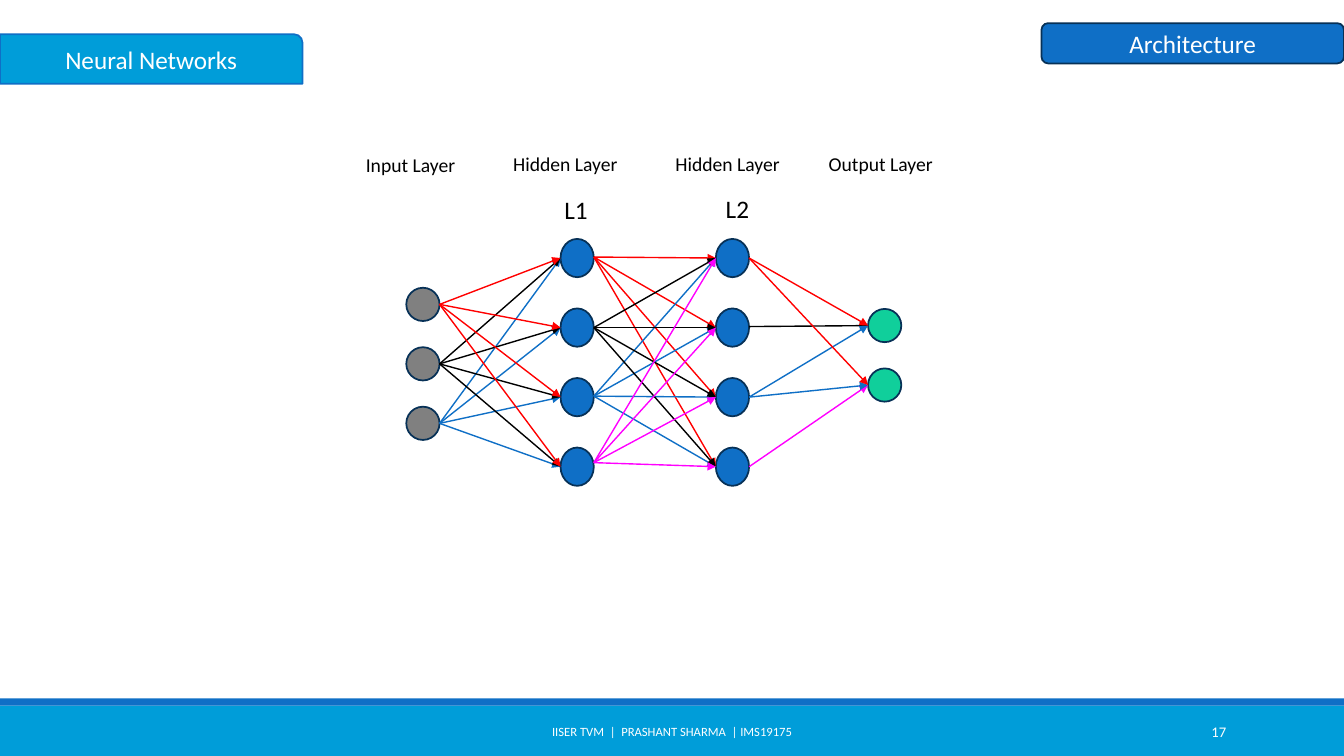
from pptx import Presentation
from pptx.dml.color import RGBColor
from pptx.enum.shapes import MSO_CONNECTOR, MSO_SHAPE
from pptx.enum.text import MSO_ANCHOR, PP_ALIGN
from pptx.oxml.ns import qn
from pptx.util import Inches, Pt
from lxml import etree

RECT, OVAL = MSO_SHAPE.RECTANGLE, MSO_SHAPE.OVAL
TAB, PILL = MSO_SHAPE.ROUND_1_RECTANGLE, MSO_SHAPE.ROUNDED_RECTANGLE
LEFT, CENTER, RIGHT = PP_ALIGN.LEFT, PP_ALIGN.CENTER, PP_ALIGN.RIGHT
MIDDLE, TOP = MSO_ANCHOR.MIDDLE, MSO_ANCHOR.TOP
STRAIGHT = MSO_CONNECTOR.STRAIGHT
COLORS = {
    "sky": "009DD9", "blue": "0F6FC6", "navy": "073157", "gray": "808080",
    "green": "10CF9B", "red": "FF0000", "black": "000000",
    "magenta": "FF00FF", "white": "FFFFFF",
}


def add_filled(kind, left, top, width, height, fill, outline=None):
    box = page.shapes.add_shape(
        kind, Inches(left), Inches(top), Inches(width), Inches(height))
    box.shadow.inherit = False
    box.fill.solid()
    box.fill.fore_color.rgb = RGBColor.from_string(COLORS[fill])
    if outline:
        box.line.color.rgb = RGBColor.from_string(COLORS[outline])
        box.line.width = Pt(1.25)
    else:
        box.line.fill.background()
    return box


def write(box, text, size, color, align, anchor=MIDDLE, wrap=True):
    box.text_frame.word_wrap = wrap
    box.text_frame.vertical_anchor = anchor
    para = box.text_frame.paragraphs[0]
    para.alignment = align
    span = para.add_run()
    span.text = text
    span.font.name = "Calibri"
    span.font.size = Pt(size)
    span.font.color.rgb = RGBColor.from_string(COLORS[color])


deck = Presentation()
deck.slide_width, deck.slide_height = Inches(13.33), Inches(7.5)
page = deck.slides.add_slide(deck.slide_layouts[5])

# Footer bars and header tabs
add_filled(RECT, 0, 7, 13.33, 0.5, "sky")
add_filled(RECT, 0, 6.93, 13.33, 0.07, "blue")
tab = add_filled(TAB, 0, 0.34, 3, 0.49, "sky", "blue")
title = page.shapes.title
title.left, title.top = tab.left, tab.top
title.width, title.height = tab.width, tab.height
tab._element.addnext(title._element)
write(title, "Neural Networks", 18, "white", CENTER)
topic = add_filled(PILL, 10.33, 0.23, 3, 0.4, "blue", "navy")
write(topic, "Architecture", 18, "white", CENTER)

# Neurons: left edge, height, fill and centre heights of each layer
NODE_WIDTH = 0.33
hidden_rows = [2.56 + 0.69 * row for row in range(4)]
layers = [
    (4.03, 0.33, "gray", [3.02, 3.61, 4.2]),
    (5.56, 0.38, "blue", hidden_rows),
    (7.1, 0.38, "blue", hidden_rows),
    (8.61, 0.33, "green", [3.23, 3.82]),
]
for left, height, fill, centers in layers:
    for center in centers:
        add_filled(OVAL, left, center - height / 2, NODE_WIDTH, height,
                   fill, "navy")

# Weights: source layer, start height, colour and target rows
every_row = [0, 1, 2, 3]
weights = [
    (0, 4.2, "blue", every_row),
    (0, 3.61, "black", every_row),
    (0, 3.02, "red", every_row),
    (1, 2.55, "red", every_row),
    (1, 3.93, "blue", every_row),
    (1, 3.25, "black", every_row),
    (1, 4.59, "magenta", every_row),
    (2, 3.24, "black", [0]),
    (2, 4.63, "magenta", [1]),
    (2, 3.94, "blue", [0, 1]),
    (2, 2.56, "red", [0, 1]),
]
for source, start, color, targets in weights:
    start_x = layers[source][0] + NODE_WIDTH
    end_x, _, _, centers = layers[source + 1]
    for target in targets:
        arrow = page.shapes.add_connector(
            STRAIGHT, Inches(start_x), Inches(start),
            Inches(end_x), Inches(centers[target]))
        arrow.line.color.rgb = RGBColor.from_string(COLORS[color])
        arrow.line.width = Pt(1)
        etree.SubElement(arrow.line._get_or_add_ln(), qn("a:tailEnd"),
                         type="triangle")
        etree.SubElement(arrow._element.spPr, qn("a:effectLst"))

# Layer labels and footer texts
labels = [
    ("Input Layer", 3.53, 1.47, 1.1, 0.34, 14, "black", LEFT, TOP, False),
    ("Hidden Layer", 4.99, 1.46, 1.25, 0.34, 14, "black", LEFT, TOP, False),
    ("Hidden Layer", 6.6, 1.46, 1.25, 0.34, 14, "black", LEFT, TOP, False),
    ("Output Layer", 8.12, 1.46, 1.25, 0.34, 14, "black", LEFT, TOP, False),
    ("L1", 5.5, 1.88, 0.44, 0.4, 18, "black", LEFT, TOP, False),
    ("L2", 7.1, 1.87, 0.44, 0.4, 18, "black", LEFT, TOP, False),
    ("IISER TVM  |  PRASHANT SHARMA  | IMS19175",
     4.03, 7.06, 5.27, 0.4, 9, "white", CENTER, MIDDLE, True),
    ("17", 10.83, 7.06, 1.43, 0.4, 10.5, "white", RIGHT, MIDDLE, True),
]
for text, left, top, width, height, size, color, align, anchor, wrap in labels:
    box = page.shapes.add_textbox(
        Inches(left), Inches(top), Inches(width), Inches(height))
    write(box, text, size, color, align, anchor, wrap)

deck.save("out.pptx")
